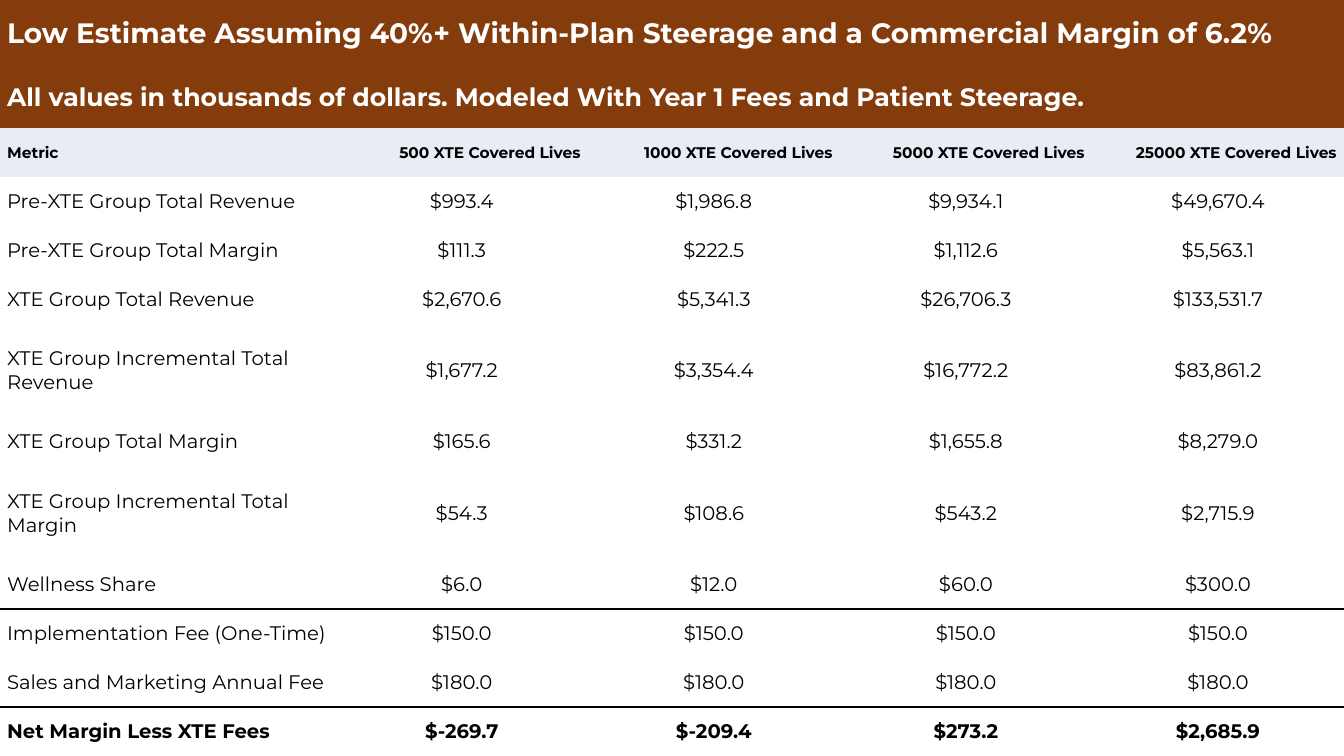
from lxml import etree
from pptx import Presentation
from pptx.dml.color import RGBColor
from pptx.enum.text import MSO_ANCHOR, PP_ALIGN
from pptx.oxml.ns import qn
from pptx.util import Inches, Pt

BANNERS = [
    ("Low Estimate Assuming 40%+ Within-Plan Steerage and a Commercial Margin of 6.2%", 20),
    ("All values in thousands of dollars. Modeled With Year 1 Fees and Patient Steerage.", 18),
]
HEADER = ("Metric", "500 XTE Covered Lives", "1000 XTE Covered Lives",
          "5000 XTE Covered Lives", "25000 XTE Covered Lives")
METRICS = [
    ("Pre-XTE Group Total Revenue", "$993.4", "$1,986.8", "$9,934.1", "$49,670.4"),
    ("Pre-XTE Group Total Margin", "$111.3", "$222.5", "$1,112.6", "$5,563.1"),
    ("XTE Group Total Revenue", "$2,670.6", "$5,341.3", "$26,706.3", "$133,531.7"),
    ("XTE Group Incremental Total Revenue", "$1,677.2", "$3,354.4", "$16,772.2", "$83,861.2"),
    ("XTE Group Total Margin", "$165.6", "$331.2", "$1,655.8", "$8,279.0"),
    ("XTE Group Incremental Total Margin", "$54.3", "$108.6", "$543.2", "$2,715.9"),
    ("Wellness Share", "$6.0", "$12.0", "$60.0", "$300.0"),
    ("Implementation Fee (One-Time)", "$150.0", "$150.0", "$150.0", "$150.0"),
    ("Sales and Marketing Annual Fee", "$180.0", "$180.0", "$180.0", "$180.0"),
    ("Net Margin Less XTE Fees", "$-269.7", "$-209.4", "$273.2", "$2,685.9"),
]
RULED_BELOW = ("Wellness Share", "Sales and Marketing Annual Fee")
TOTAL = "Net Margin Less XTE Fees"

FONT = "Montserrat"
BROWN, PALE_BLUE, BLACK, WHITE = "843C0C", "E7ECF5", "000000", "FFFFFF"
NO_STYLE = "{2D5ABB26-0587-4C30-8999-92F81FD0307C}"

SLIDE_WIDTH, SLIDE_HEIGHT = 13.33, 7.5
COLUMN_WIDTHS = [3.33] + [2.5] * 4
BANNER_HEIGHTS = [0.67, 0.6]
TALL_ROW = 0.93
SIDE_GAP = 0.07


def color(hex_value):
    return RGBColor.from_string(hex_value)


def write_cell(cell, text, size=14, bold=False, ink=BLACK, fill=None, align=PP_ALIGN.LEFT):
    cell.margin_left = cell.margin_right = cell.margin_top = cell.margin_bottom = 0
    cell.vertical_anchor = MSO_ANCHOR.MIDDLE
    if fill:
        cell.fill.solid()
        cell.fill.fore_color.rgb = color(fill)
    else:
        cell.fill.background()
    paragraph = cell.text_frame.paragraphs[0]
    paragraph.alignment = align
    properties = paragraph._p.get_or_add_pPr()
    for side in ("marL", "marR"):
        properties.set(side, str(Inches(SIDE_GAP)))
    properties.set("indent", "0")
    run = paragraph.add_run()
    run.text = text
    run.font.name, run.font.size, run.font.bold = FONT, Pt(size), bold
    run.font.color.rgb = color(ink)


def set_borders(cell, top=False, bottom=False):
    """Draw the chosen edges in black and clear the others."""
    edges = (("a:lnL", False), ("a:lnR", False), ("a:lnT", top), ("a:lnB", bottom))
    properties = cell._tc.get_or_add_tcPr()
    for position, (tag, visible) in enumerate(edges):
        line = etree.Element(qn(tag), w=str(Pt(1)))
        if visible:
            fill = etree.SubElement(line, qn("a:solidFill"))
            etree.SubElement(fill, qn("a:srgbClr"), val=BLACK)
        else:
            etree.SubElement(line, qn("a:noFill"))
        properties.insert(position, line)


def row_heights():
    """Give the single-line rows an equal share of the height left over."""
    tall = ["Incremental" in metric[0] for metric in METRICS]
    single_count = 1 + tall.count(False)
    remaining = SLIDE_HEIGHT - sum(BANNER_HEIGHTS) - TALL_ROW * tall.count(True)
    single = remaining / single_count
    return BANNER_HEIGHTS + [single] + [TALL_ROW if is_tall else single for is_tall in tall]


def add_estimate_table(slide):
    heights = row_heights()
    frame = slide.shapes.add_table(len(heights), len(COLUMN_WIDTHS), 0, 0,
                                   Inches(sum(COLUMN_WIDTHS)), Inches(SLIDE_HEIGHT))
    table = frame.table
    table.first_row = table.horz_banding = False
    next(frame.element.iter(qn("a:tableStyleId"))).text = NO_STYLE
    for column, width in zip(table.columns, COLUMN_WIDTHS):
        column.width = Inches(width)
    for row, height in zip(table.rows, heights):
        row.height = Inches(height)

    last_column = len(COLUMN_WIDTHS) - 1
    for index, (text, size) in enumerate(BANNERS):
        banner = table.cell(index, 0)
        banner.merge(table.cell(index, last_column))
        write_cell(banner, text, size=size, bold=True, ink=WHITE, fill=BROWN)

    header_row = len(BANNERS)
    for column, text in enumerate(HEADER):
        write_cell(table.cell(header_row, column), text, size=11, bold=True, fill=PALE_BLUE,
                   align=PP_ALIGN.RIGHT if column else PP_ALIGN.LEFT)

    label_above = HEADER[0]
    for row, metric in enumerate(METRICS, header_row + 1):
        label = metric[0]
        for column, text in enumerate(metric):
            cell = table.cell(row, column)
            write_cell(cell, text, bold=label == TOTAL,
                       align=PP_ALIGN.CENTER if column else PP_ALIGN.LEFT)
            set_borders(cell, top=label_above in RULED_BELOW, bottom=label in RULED_BELOW)
        label_above = label


def main():
    presentation = Presentation()
    presentation.slide_width = Inches(SLIDE_WIDTH)
    presentation.slide_height = Inches(SLIDE_HEIGHT)
    slide = presentation.slides.add_slide(presentation.slide_layouts[6])
    add_estimate_table(slide)
    presentation.save("out.pptx")


if __name__ == "__main__":
    main()
